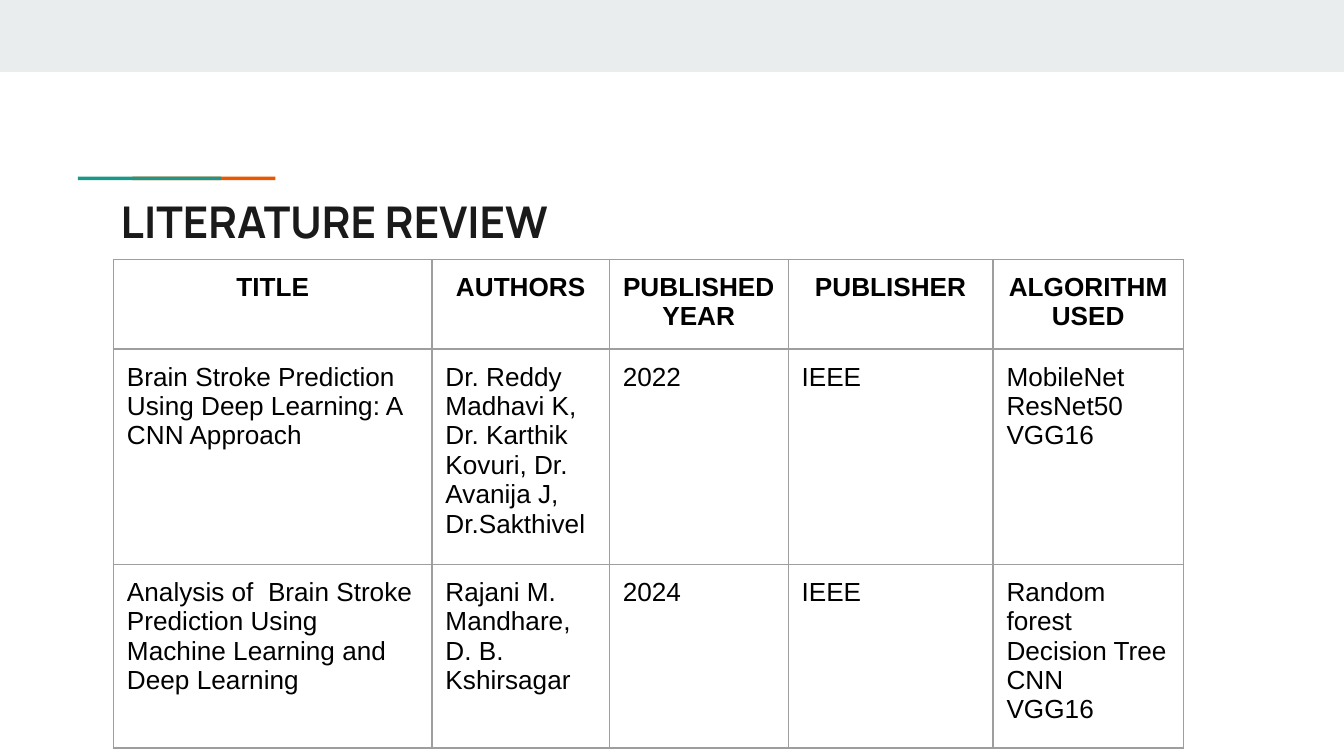
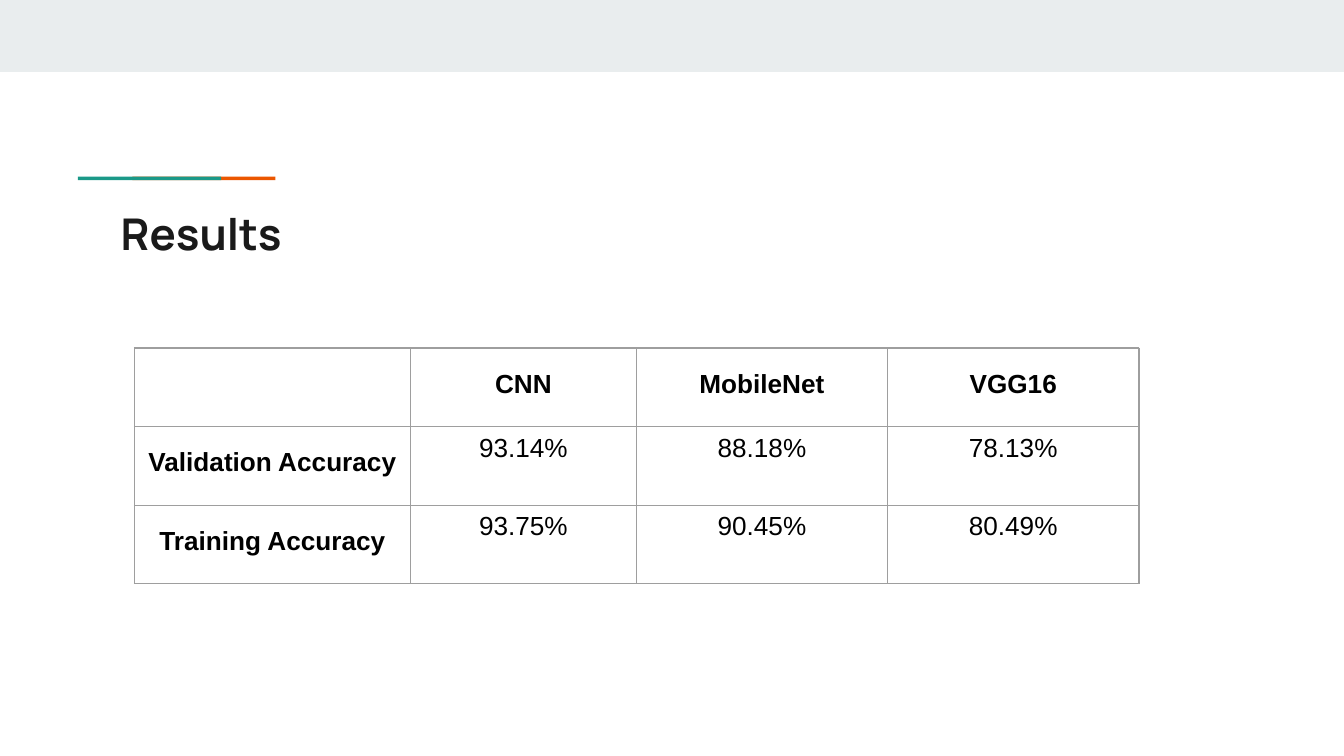
from dataclasses import dataclass

from lxml import etree
from pptx import Presentation
from pptx import util as u
from pptx.dml.color import RGBColor
from pptx.enum import shapes, text
from pptx.oxml import ns

PX = 4572
COLORS = {
    "band": "E9EDEE",
    "orange": "EB5600",
    "green": "1A9988",
    "title": "1A1A1A",
    "body": "000000",
    "border": "9E9E9E",
}


@dataclass(frozen=True)
class Bar:
    """A filled rectangle shared by every slide."""
    x: int
    y: int
    w: int
    h: int
    color: str


@dataclass(frozen=True)
class Grid:
    """A table with bold headings in its first row and, if asked, column."""
    x: int
    y: int
    cols: list[int]
    rows: list[int]
    cells: list[list[str]]
    inset_y: int
    head_spacing: float = 1.0
    head_col: bool = False
    body_align: text.PP_ALIGN = text.PP_ALIGN.LEFT


@dataclass(frozen=True)
class Page:
    """One slide: its title, the title's top edge and its table."""
    title: str
    title_y: int
    grid: Grid


BARS = [
    Bar(0, 0, 2000, 107, "band"),
    Bar(197, 263, 213, 5, "orange"),
    Bar(116, 263, 213, 5, "green"),
]

REVIEW = Grid(
    x=169, y=386, inset_y=20,
    cols=[474, 264, 266, 305, 283],
    rows=[84, 84, 140],
    cells=[
        ["TITLE", "AUTHORS", "PUBLISHED YEAR", "PUBLISHER", "ALGORITHM USED"],
        ["Brain Stroke Prediction Using Deep Learning: A CNN Approach",
         "Dr. Reddy Madhavi K, Dr. Karthik Kovuri, Dr. Avanija J, Dr.Sakthivel",
         "2022", "IEEE", "MobileNet\nResNet50\nVGG16"],
        ["Analysis of  Brain Stroke Prediction Using Machine Learning and Deep Learning",
         "Rajani M. Mandhare, D. B. Kshirsagar",
         "2024", "IEEE", "Random forest\nDecision Tree\nCNN\nVGG16"],
    ],
)

RESULTS = Grid(
    x=200, y=518, inset_y=10,
    cols=[411, 336, 374, 374],
    rows=[117] * 3,
    cells=[
        ["", "CNN", "MobileNet", "VGG16"],
        ["Validation Accuracy", "93.14%", "88.18%", "78.13%"],
        ["Training Accuracy", "93.75%", "90.45%", "80.49%"],
    ],
    head_spacing=1.5, head_col=True, body_align=text.PP_ALIGN.CENTER,
)

PAGES = [
    Page("LITERATURE REVIEW", 270, REVIEW),
    Page("Results", 288, RESULTS),
]


def px(n: int) -> u.Emu:
    """Turn px into EMU."""
    return u.Emu(n * PX)


def write(tf, content: str, *, size: float, font: str, color: str, bold: bool = False,
          align=text.PP_ALIGN.LEFT, spacing: float = 1.0) -> None:
    """Fill a text frame, one paragraph for each line of content."""
    tf.word_wrap = True
    for i, line in enumerate(content.split("\n")):
        p = tf.add_paragraph() if i else tf.paragraphs[0]
        p.alignment = align
        p.line_spacing = spacing
        r = p.add_run()
        r.text = line
        r.font.size = u.Pt(size)
        r.font.name = font
        r.font.bold = bold
        r.font.color.rgb = RGBColor.from_string(COLORS[color])


def set_margins(box, x: int, y: int) -> None:
    """Set the insets of a cell or text frame."""
    box.margin_left = box.margin_right = px(x)
    box.margin_top = box.margin_bottom = px(y)


def add_bar(s, bar: Bar) -> None:
    """Draw one plain rectangle."""
    sp = s.shapes.add_shape(shapes.MSO_SHAPE.RECTANGLE,
                            px(bar.x), px(bar.y), px(bar.w), px(bar.h))
    sp.shadow.inherit = False
    sp.fill.solid()
    sp.fill.fore_color.rgb = RGBColor.from_string(COLORS[bar.color])
    sp.line.fill.background()


def add_title(s, title: str, y: int) -> None:
    """Write the slide title."""
    tf = s.shapes.add_textbox(px(160), px(y), px(1682), px(118)).text_frame
    set_margins(tf, 20, 20)
    write(tf, title, size=23.4, font="Manrope", color="title", bold=True)


def add_borders(cell) -> None:
    """Put a thin line on all four sides of a cell."""
    tc_pr = cell._tc.get_or_add_tcPr()
    for i, side in enumerate(("lnL", "lnR", "lnT", "lnB")):
        ln = etree.Element(ns.qn(f"a:{side}"), w=str(u.Pt(0.75)))
        fill = etree.SubElement(ln, ns.qn("a:solidFill"))
        etree.SubElement(fill, ns.qn("a:srgbClr"), val=COLORS["border"])
        tc_pr.insert(i, ln)


def add_grid(s, grid: Grid) -> None:
    """Draw a table."""
    tbl = s.shapes.add_table(len(grid.rows), len(grid.cols), px(grid.x), px(grid.y),
                             px(sum(grid.cols)), px(sum(grid.rows))).table
    tbl.first_row = tbl.horz_banding = False
    for col, w in zip(tbl.columns, grid.cols):
        col.width = px(w)
    for row, h in zip(tbl.rows, grid.rows):
        row.height = px(h)
    for i, line in enumerate(grid.cells):
        for j, content in enumerate(line):
            cell = tbl.cell(i, j)
            cell.fill.background()
            set_margins(cell, 20, grid.inset_y)
            add_borders(cell)
            head = i == 0 or (grid.head_col and j == 0)
            if content:
                write(cell.text_frame, content, size=14, font="Arial", color="body", bold=head,
                      align=text.PP_ALIGN.CENTER if head else grid.body_align,
                      spacing=grid.head_spacing if head else 1.0)


def main() -> None:
    """Build and save the slides."""
    prs = Presentation()
    prs.slide_width, prs.slide_height = px(2000), px(1125)
    for page in PAGES:
        s = prs.slides.add_slide(prs.slide_layouts[6])
        for bar in BARS:
            add_bar(s, bar)
        add_title(s, page.title, page.title_y)
        add_grid(s, page.grid)
    prs.save("out.pptx")


if __name__ == "__main__":
    main()
